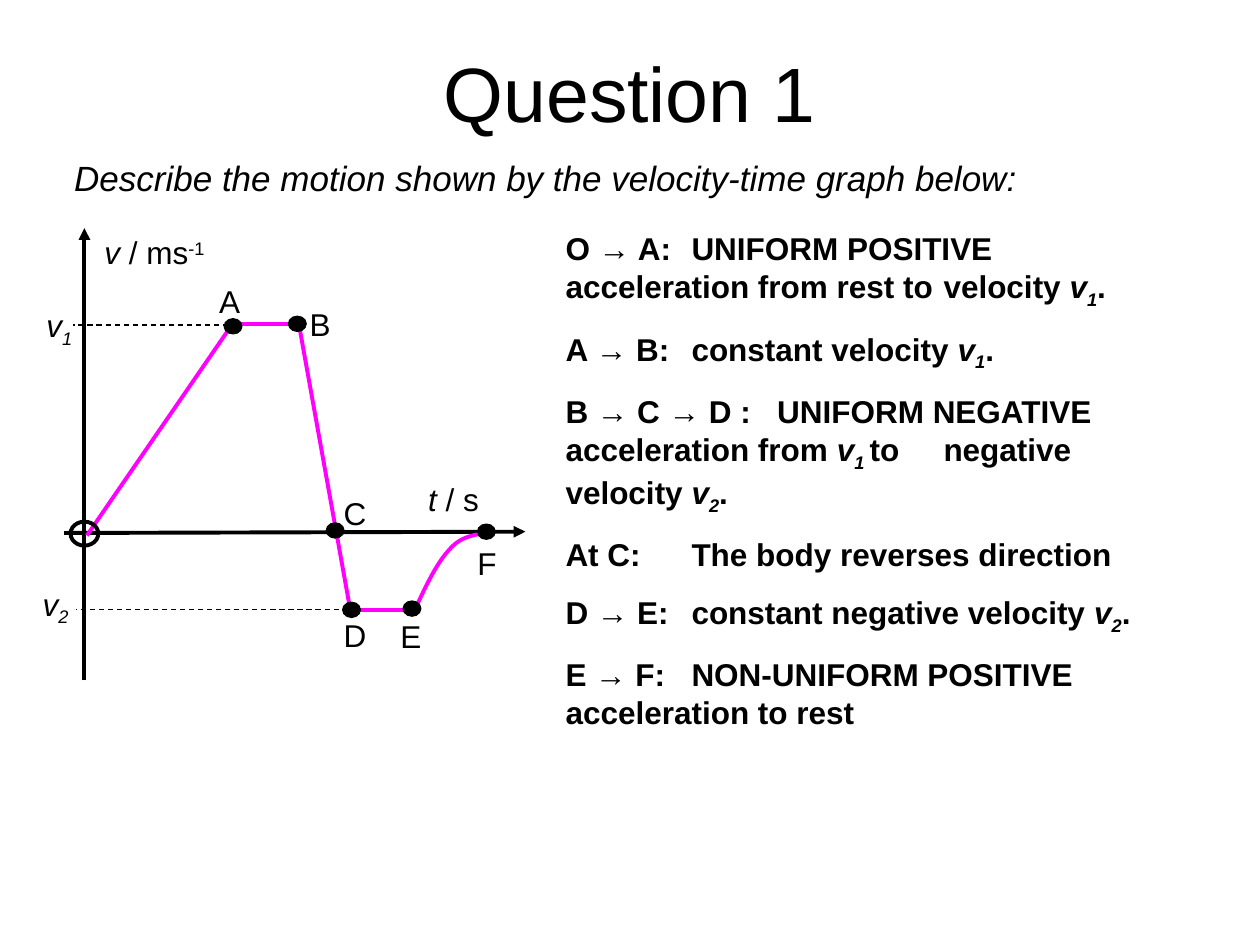
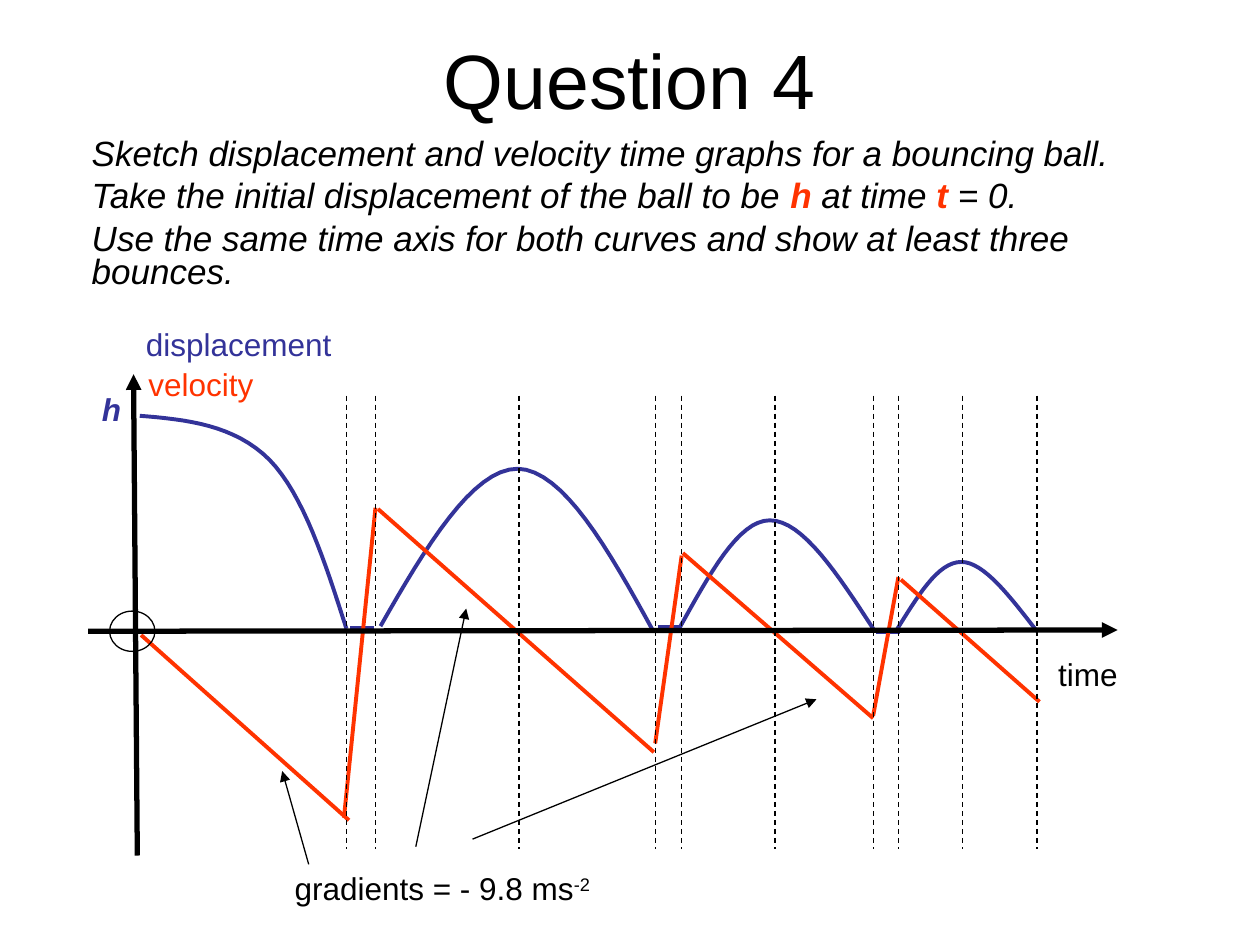
from dataclasses import dataclass
from lxml import etree
from pptx import Presentation
from pptx.dml.color import RGBColor
from pptx.enum.dml import MSO_LINE
from pptx.enum.shapes import MSO_CONNECTOR, MSO_SHAPE
from pptx.enum.text import MSO_ANCHOR, PP_ALIGN
from pptx.oxml.ns import qn
from pptx.util import Inches, Pt

STRAIGHT = MSO_CONNECTOR.STRAIGHT
OVAL = MSO_SHAPE.OVAL
DASH = MSO_LINE.DASH
MIDDLE = MSO_ANCHOR.MIDDLE
CENTER = PP_ALIGN.CENTER


@dataclass(frozen=True)
class Theme:
    font: str = "Arial"
    black: RGBColor = RGBColor(0, 0, 0)
    white: RGBColor = RGBColor(255, 255, 255)
    magenta: RGBColor = RGBColor(0xFF, 0x00, 0xFF)
    blue: RGBColor = RGBColor(0x33, 0x33, 0x99)
    red: RGBColor = RGBColor(0xFF, 0x33, 0x00)
    title: int = 44
    prompt: int = 20
    text: int = 18
    thin: float = 0.75
    medium: float = 2.25
    thick: float = 3


T = Theme()
BASELINES = {"sub": "-25000", "sup": "30000"}


def add_text(s, box, paragraphs, size=T.text, color=T.black, bold=None, italic=None,
             before=0, spacing=None, tabs=None):
    """Each paragraph is a list of (text, styles); styles are words such as "i sub"."""
    sp = s.shapes.add_textbox(*[Inches(v) for v in box])
    tf = sp.text_frame
    tf.word_wrap = True
    for i, runs in enumerate(paragraphs):
        p = tf.paragraphs[0] if i == 0 else tf.add_paragraph()
        p.space_before = Pt(before if i else 0)
        if spacing:
            p.line_spacing = spacing
        if tabs:
            tab_list = etree.SubElement(p._p.get_or_add_pPr(), qn("a:tabLst"))
            for stop in tabs[i]:
                etree.SubElement(tab_list, qn("a:tab"), pos=str(Inches(stop)), algn="l")
        p.font.name, p.font.size = T.font, Pt(size)
        p.font.color.rgb = color
        p.font.bold, p.font.italic = bold, italic
        for text, styles in runs:
            r = p.add_run()
            r.text = text
            for style in styles.split():
                if style == "i":
                    r.font.italic = True
                elif style == "b":
                    r.font.bold = True
                elif style == "red":
                    r.font.color.rgb = T.red
                else:
                    r._r.get_or_add_rPr().set("baseline", BASELINES[style])
    return sp


def add_stroke(s, points, color=T.black, width=T.thin, dash=False, arrow=False):
    """Two points make a line; 4, 7, ... points make a chain of Bezier curves."""
    if len(points) == 2:
        (x1, y1), (x2, y2) = points
        sp = s.shapes.add_connector(STRAIGHT, Inches(x1), Inches(y1), Inches(x2), Inches(y2))
        etree.SubElement(sp._element.spPr, qn("a:effectLst"))
    else:
        samples = []
        for k in range(0, len(points) - 1, 3):
            for step in range(1, 17):
                t = step / 16
                weights = ((1 - t) ** 3, 3 * t * (1 - t) ** 2, 3 * t * t * (1 - t), t ** 3)
                samples.append([Inches(sum(w * pt[axis] for w, pt in zip(weights, points[k:k + 4])))
                                for axis in (0, 1)])
        builder = s.shapes.build_freeform(*[Inches(v) for v in points[0]])
        builder.add_line_segments(samples, close=False)
        sp = builder.convert_to_shape()
        sp.fill.background()
        sp.shadow.inherit = False
    sp.line.color.rgb = color
    sp.line.width = Pt(width)
    if dash:
        sp.line.dash_style = DASH
    if arrow:
        etree.SubElement(sp.line._get_or_add_ln(), qn("a:tailEnd"), type="triangle")


prs = Presentation()
prs.slide_width, prs.slide_height = Inches(10), Inches(7.5)

# Slides and titles
slides = []
for title, top, height in (("Question 1", 0.3, 0.86), ("Question 4", 0, 1.25)):
    s = prs.slides.add_slide(prs.slide_layouts[5])
    sp = s.shapes.title
    sp.left, sp.top, sp.width, sp.height = Inches(0.5), Inches(top), Inches(9), Inches(height)
    tf = sp.text_frame
    tf.text = title
    tf.vertical_anchor = MIDDLE
    p = tf.paragraphs[0]
    p.alignment = CENTER
    p.font.name, p.font.size = T.font, Pt(T.title)
    p.font.color.rgb = T.black
    slides.append(s)
motion, bounce = slides

# Question 1: prompt and answers
add_text(motion, (0.49, 1.19, 8.87, 0.54),
         [[("Describe the motion shown by the velocity-time graph below:", "")]],
         size=T.prompt, italic=True)
inch_tabs = list(range(1, 8))
answers = [
    [("O → A: \tUNIFORM POSITIVE \tacceleration from rest to \tvelocity ", ""),
     ("v", "i"), ("1", "i sub"), (".", "")],
    [("A → B: \tconstant velocity ", ""), ("v", "i"), ("1", "i sub"), (".", "")],
    [("B → C → D :\tUNIFORM NEGATIVE \tacceleration from ", ""), ("v", "i"), ("1 ", "i sub"),
     ("to \tnegative velocity ", ""), ("v", "i"), ("2", "i sub"), (".", "")],
    [("At C:\tThe body reverses direction", "")],
    [("D → E: \tconstant negative velocity ", ""), ("v", "i"), ("2", "i sub"), (".", "")],
    [("E → F: \tNON-UNIFORM POSITIVE \tacceleration to rest", "")],
]
answer_tabs = [inch_tabs] * len(answers)
answer_tabs[2] = [1.68] + inch_tabs[1:]
add_text(motion, (4.39, 1.77, 4.84, 5), answers, bold=True, before=11.2, tabs=answer_tabs)

# Question 1: axes, guides and velocity graph
for axis in ([(0.67, 5.4), (0.67, 1.81)], [(0.51, 4.23), (4.17, 4.22)]):
    add_stroke(motion, axis, width=T.medium, arrow=True)
for guide in ([(1.81, 2.58), (0.58, 2.58)], [(2.76, 4.84), (0.6, 4.84)]):
    add_stroke(motion, guide, dash=True)
for part in (
    [(0.69, 4.25), (1.86, 2.55)],
    [(1.86, 2.57), (2.35, 2.57)],
    [(2.37, 2.56), (2.78, 4.84)],
    [(2.81, 4.84), (3.29, 4.84)],
    [(3.85, 4.23), (3.75, 4.25), (3.65, 4.26), (3.56, 4.37),
     (3.46, 4.48), (3.37, 4.67), (3.28, 4.87)],
):
    add_stroke(motion, part, T.magenta, T.medium)

# Question 1: marked points (dot centre, label corner)
for name, x, y, label_x, label_y in (
    ("A", 1.85, 2.59, 1.64, 2.19), ("B", 2.36, 2.57, 2.36, 2.37),
    ("C", 2.66, 4.21, 2.63, 3.87), ("D", 2.79, 4.84, 2.63, 4.84),
    ("E", 3.27, 4.83, 3.08, 4.85), ("F", 3.86, 4.22, 3.69, 4.27),
):
    sp = motion.shapes.add_shape(OVAL, Inches(x - 0.07), Inches(y - 0.06), Inches(0.14), Inches(0.12))
    sp.shadow.inherit = False
    sp.fill.solid()
    sp.fill.fore_color.rgb = T.black
    sp.line.color.rgb = T.black
    sp.line.width = Pt(T.thin)
    add_text(motion, (label_x, label_y, 0.4, 0.4), [[(name, "")]])

# Question 1: axis labels
for box, runs in (
    ((0.73, 1.8, 1.11, 0.4), [("v", "i"), (" / ms", ""), ("-1", "sup")]),
    ((3.3, 3.76, 0.75, 0.4), [("t", "i"), (" / s", "")]),
    ((0.27, 2.38, 0.45, 0.44), [("v", "i"), ("1", "i sub")]),
    ((0.24, 4.59, 0.45, 0.44), [("v", "i"), ("2", "i sub")]),
):
    add_text(motion, box, [runs])

# Question 4: prompt
add_text(bounce, (0.63, 1.06, 8.64, 1.34), [
    [("Sketch displacement and velocity time graphs for a bouncing ball.", "")],
    [("Take the initial displacement of the ball to be ", ""), ("h", "b red"),
     (" at time ", ""), ("t ", "b red"), ("= 0.", "")],
    [("Use the same time axis for both curves and show at least three bounces.", "")],
], size=T.prompt, italic=True, before=5, spacing=0.8)

# Question 4: displacement curves and rests on the ground
for curve in (
    [(1.11, 3.3), (1.48, 3.33), (1.86, 3.37), (2.14, 3.65),
     (2.41, 3.93), (2.58, 4.46), (2.75, 4.99)],
    [(3.02, 4.97), (3.38, 4.34), (3.75, 3.72), (4.11, 3.72),
     (4.47, 3.73), (4.83, 4.36), (5.18, 5)],
    [(5.39, 4.99), (5.63, 4.56), (5.86, 4.13), (6.11, 4.13),
     (6.37, 4.13), (6.65, 4.56), (6.93, 4.99)],
    [(7.11, 5.01), (7.28, 4.74), (7.44, 4.46), (7.63, 4.46),
     (7.81, 4.46), (8.02, 4.74), (8.23, 5.01)],
):
    add_stroke(bounce, curve, T.blue, T.medium)
for x, y in ((2.78, 4.99), (5.22, 4.98), (6.95, 5.01)):
    add_stroke(bounce, [(x, y), (x + 0.19, y)], T.blue, T.thick)

# Question 4: velocity lines
for x1, y1, x2, y2 in (
    (1.12, 5.04, 2.77, 6.51), (2.73, 6.49, 2.98, 4.03), (3, 4.04, 5.19, 5.97),
    (5.2, 5.9, 5.41, 4.41), (5.42, 4.39, 6.93, 5.7), (6.93, 5.68, 7.13, 4.58),
    (7.15, 4.6, 8.25, 5.57),
):
    add_stroke(bounce, [(x1, y1), (x2, y2)], T.red, T.medium)

# Question 4: time guides and axes
for x in (2.75, 2.98, 4.12, 5.2, 5.41, 6.15, 6.93, 7.13, 7.64, 8.23):
    add_stroke(bounce, [(x, 3.14), (x, 6.74)], dash=True)
for axis in ([(0.7, 5.01), (8.87, 5)], [(1.09, 6.79), (1.06, 2.97)]):
    add_stroke(bounce, axis, width=T.thick, arrow=True)

# Question 4: labels
for box, text, styles, color in (
    ((1.06, 2.53, 1.75, 0.4), "displacement", "", T.blue),
    ((1.08, 2.85, 1.1, 0.4), "velocity", "", T.red),
    ((0.71, 3.05, 0.4, 0.4), "h", "b i", T.blue),
    ((8.3, 5.15, 0.75, 0.4), "time", "", T.black),
):
    add_text(bounce, box, [[(text, styles)]], color=color)
sp = add_text(bounce, (2.24, 6.85, 2.6, 0.4), [[("gradients = - 9.8 ms", ""), ("-2", "sup")]])
sp.fill.solid()
sp.fill.fore_color.rgb = T.white
for pointer in ([(2.45, 6.86), (2.24, 6.12)], [(3.3, 6.72), (3.7, 4.83)], [(3.75, 6.66), (6.48, 5.55)]):
    add_stroke(bounce, pointer, arrow=True)

# Origin rings on both graphs
for s, box, width in (
    (motion, (0.56, 4.14, 0.22, 0.19), T.medium),
    (bounce, (0.87, 4.85, 0.36, 0.32), T.thin),
):
    sp = s.shapes.add_shape(OVAL, *[Inches(v) for v in box])
    sp.shadow.inherit = False
    sp.fill.background()
    sp.line.color.rgb = T.black
    sp.line.width = Pt(width)

prs.save("out.pptx")
